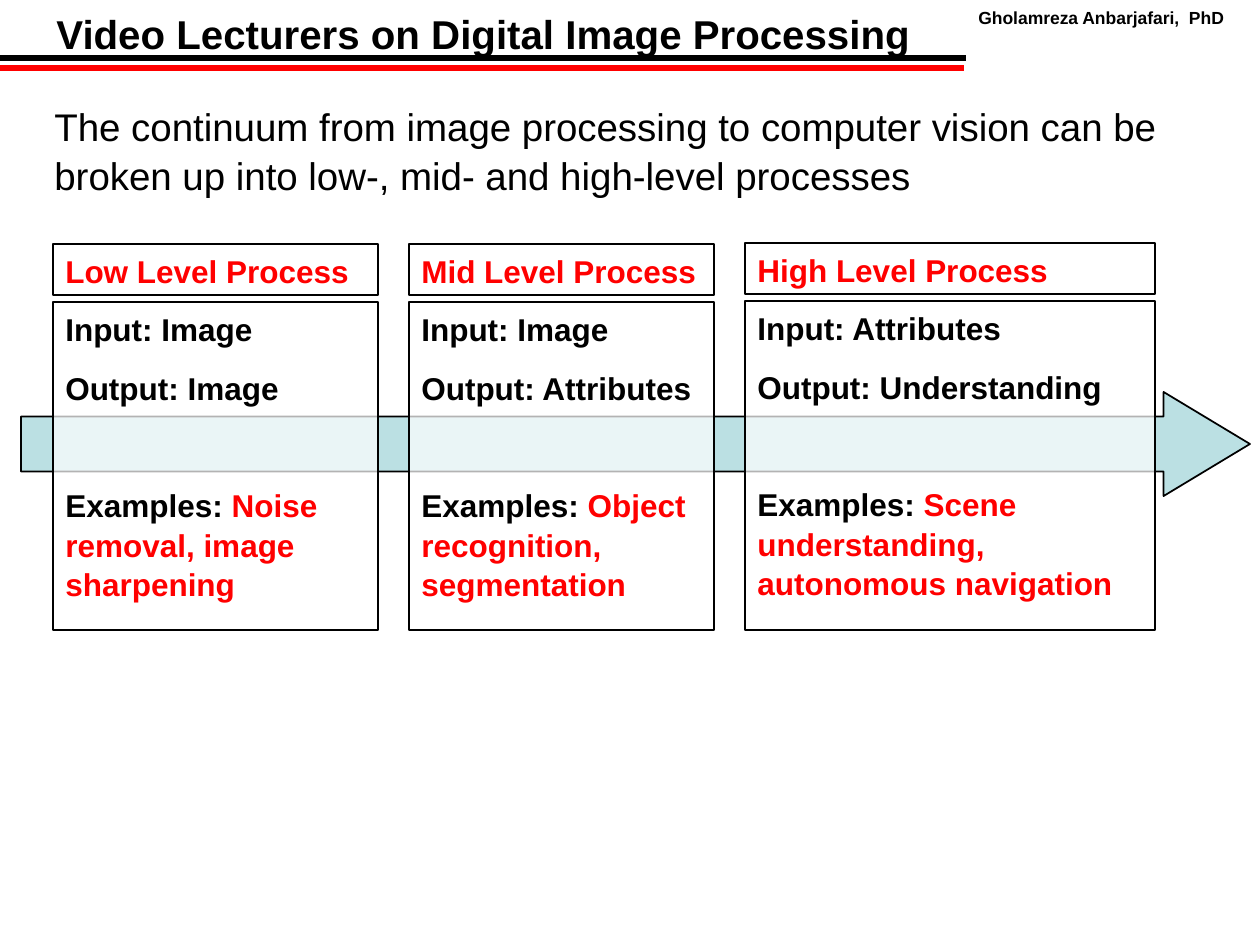
from lxml.etree import SubElement
from pptx import Presentation
from pptx.dml.color import RGBColor
from pptx.enum.shapes import MSO_CONNECTOR, MSO_SHAPE
from pptx.enum.text import MSO_ANCHOR, PP_ALIGN
from pptx.oxml.ns import qn
from pptx.util import Inches, Pt

TITLE = "Video Lecturers on Digital Image Processing"
AUTHOR = "Gholamreza Anbarjafari,  PhD"
INTRO = ("The continuum from image processing to computer vision can be "
         "broken up into low-, mid- and high-level processes")
LEVELS = [
    {"name": "Low Level Process", "width": 325, "top": 244,
     "input": "Image", "output": "Image",
     "cases": "Noise removal, image sharpening"},
    {"name": "Mid Level Process", "width": 305, "top": 244,
     "input": "Image", "output": "Attributes",
     "cases": "Object recognition, segmentation"},
    {"name": "High Level Process", "width": 410, "top": 243,
     "input": "Attributes", "output": "Understanding",
     "cases": "Scene understanding, autonomous navigation"},
]
RULES = [(966, 58, "ink"), (964, 68, "red")]
THEME = {
    "font": "Arial", "ink": "000000", "red": "FF0000",
    "white": "FFFFFF", "arrow": "BBE0E3", "alpha": 70,
    "title": 23, "author": 10, "intro": 22, "level": 18,
    "space": 11.2, "break": 44, "leading": 1.05,
}
LEFT, GAP, HEAD, SPLIT, BASE = 53, 31, 51, 7, 630
UNIT = Inches(1) / 126


def px(*nums):
    return [round(num * UNIT) for num in nums]


def tint(name):
    return RGBColor.from_string(THEME[name])


def apply(item, values):
    for key, value in values.items():
        setattr(item, key, value)


def write(frame, paras, size, bold=True, wrap=True):
    apply(frame, {"word_wrap": wrap, "vertical_anchor": MSO_ANCHOR.TOP})
    for num, (runs, space) in enumerate(paras):
        para = frame.add_paragraph() if num else frame.paragraphs[0]
        apply(para, {"alignment": PP_ALIGN.LEFT, "space_before": Pt(space),
                     "line_spacing": THEME["leading"]})
        for text, color in runs:
            run = para.add_run()
            run.text = text
            apply(run.font, {"name": THEME["font"], "size": Pt(THEME[size]),
                             "bold": bold})
            run.font.color.rgb = tint(color)


def label(shapes, box, text, size, bold=True, wrap=True):
    frame = shapes.add_textbox(*px(*box)).text_frame
    write(frame, [([(text, "ink")], 0)], size, bold, wrap)


def draw(shapes, kind, box, fill):
    shape = shapes.add_shape(kind, *px(*box))
    shape.shadow.inherit = False
    shape.fill.solid()
    shape.fill.fore_color.rgb = tint(fill)
    shape.line.color.rgb = tint("ink")
    shape.line.width = Pt(1)
    return shape


def panel(shapes, box, paras):
    shape = draw(shapes, MSO_SHAPE.RECTANGLE, box, "white")
    color = shape.fill._xPr.find(qn("a:solidFill"))[0]
    SubElement(color, qn("a:alpha"), val=str(THEME["alpha"] * 1000))
    write(shape.text_frame, paras, "level")


def rule(shapes, end, top, color):
    line = shapes.add_connector(MSO_CONNECTOR.STRAIGHT, *px(end, top, 0, top))
    line.line.color.rgb = tint(color)
    line.line.width = Pt(3)
    SubElement(line._element.spPr, qn("a:effectLst"))


def column(shapes, left, level):
    group = shapes.add_group_shape().shapes
    top, width = level["top"], level["width"]
    body = top + HEAD + SPLIT
    panel(group, (left, top, width, HEAD), [([(level["name"], "red")], 0)])
    panel(group, (left, body, width, BASE - body), [
        ([("Input: " + level["input"], "ink")], 0),
        ([("Output: " + level["output"], "ink")], THEME["space"]),
        ([("Examples: ", "ink"), (level["cases"], "red")], THEME["break"]),
    ])


def main():
    deck = Presentation()
    apply(deck, {"slide_width": Inches(10), "slide_height": Inches(7.5)})
    shapes = deck.slides.add_slide(deck.slide_layouts[6]).shapes
    for line in RULES:
        rule(shapes, *line)
    label(shapes, (966, 0, 294, 34), AUTHOR, "author")
    label(shapes, (44, 1, 881, 62), TITLE, "title", wrap=False)
    arrow = draw(shapes, MSO_SHAPE.RIGHT_ARROW, (21, 392, 1229, 104), "arrow")
    arrow.adjustments[0] = 0.53
    arrow.adjustments[1] = 0.83
    label(shapes, (42, 95, 1166, 230), INTRO, "intro", bold=False)
    left = LEFT
    for level in LEVELS:
        column(shapes, left, level)
        left += level["width"] + GAP
    deck.save("out.pptx")


if __name__ == "__main__":
    main()
